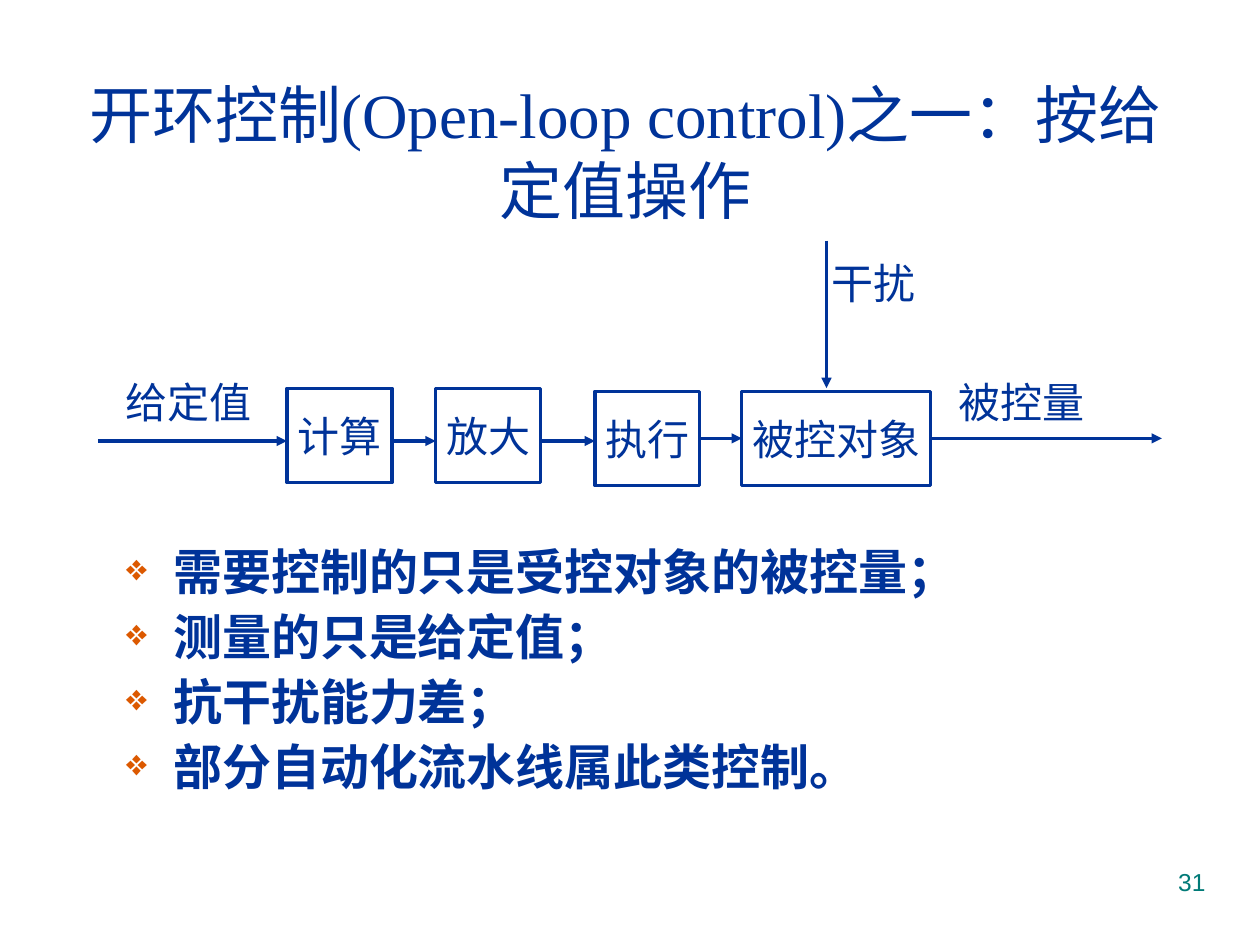
from dataclasses import dataclass

from lxml.etree import SubElement
from pptx import Presentation
from pptx.dml.color import RGBColor
from pptx.enum.shapes import MSO_CONNECTOR, MSO_SHAPE
from pptx.enum.text import MSO_ANCHOR, PP_ALIGN
from pptx.oxml.ns import qn
from pptx.util import Pt


@dataclass(frozen=True)
class Theme:
    ink: str = "003399"
    mark: str = "DC5900"
    page: str = "007A77"
    serif: str = "Times New Roman"
    sans: str = "Arial"
    cjk: str = "Noto Sans CJK SC"
    title: int = 36
    body: int = 28
    label: int = 24
    small: int = 14
    line: float = 1.75


THEME = Theme()


def style(para, size, face, color=THEME.ink, bold=False):
    """Set the Latin font to face and the East Asian one to the theme's."""
    font = para.font
    font.size, font.name, font.bold = Pt(size), face, bold
    font.color.rgb = RGBColor.from_string(color)
    props = para._p.pPr.find(qn("a:defRPr"))
    SubElement(props, qn("a:ea"), typeface=THEME.cjk)


def write(shape, text, size, face, color=THEME.ink, align=PP_ALIGN.CENTER,
          wrap=True, anchor=MSO_ANCHOR.MIDDLE):
    frame = shape.text_frame
    frame.word_wrap = wrap
    frame.vertical_anchor = anchor
    para = frame.paragraphs[0]
    para.text, para.alignment = text, align
    style(para, size, face, color)


def add_text(slide, box, *args, **opts):
    write(slide.shapes.add_textbox(*map(Pt, box)), *args, **opts)


def add_block(slide, box, text):
    block = slide.shapes.add_shape(MSO_SHAPE.RECTANGLE, *map(Pt, box))
    block.shadow.inherit = False
    block.fill.background()
    block.line.color.rgb = RGBColor.from_string(THEME.ink)
    block.line.width = Pt(THEME.line)
    write(block, text, THEME.label, THEME.serif, wrap=False)
    return block


def add_arrow(slide, start, end, source=None, target=None):
    """Draw an arrow, joined to the right of source and the left of target."""
    arrow = slide.shapes.add_connector(
        MSO_CONNECTOR.STRAIGHT, *map(Pt, (*start, *end)))
    if source is not None:
        arrow.begin_connect(source, 3)
    if target is not None:
        arrow.end_connect(target, 1)
    arrow.line.color.rgb = RGBColor.from_string(THEME.ink)
    arrow.line.width = Pt(THEME.line)
    SubElement(arrow.line._get_or_add_ln(), qn("a:tailEnd"), type="triangle")
    SubElement(arrow._element.spPr, qn("a:effectLst"))


def add_loop(slide, box):
    """Draw the chain of blocks from set value to controlled value."""
    left, top, width, _ = box
    blocks = [
        add_block(slide, (left + x, top + y, w, 54), text)
        for text, x, y, w in (
            ("计算", 108, 84.3, 60),
            ("放大", 193, 84.3, 60),
            ("执行", 284, 86, 60),
            ("被控对象", 368, 86, 108),
        )
    ]
    drive, plant = blocks[2:]
    flow, mid = top + 114.5, top + 113
    for x, end in ((0, 108), (168, 193), (253, 284)):
        add_arrow(slide, (left + x, flow), (left + end, flow))
    add_arrow(slide, (left + 344, mid), (left + 368, mid), drive, plant)
    add_arrow(slide, (left + 476, mid), (left + width, mid), plant)
    add_arrow(slide, (left + 416.3, top), (left + 416.3, top + 84.3))
    for text, x, y, w in (
        ("给定值", 1, 77, 102),
        ("干扰", 410, 9, 66),
        ("被控量", 476.5, 77, 102),
    ):
        add_text(slide, (left + x, top + y, w, 30), text,
                 THEME.label, THEME.serif, wrap=False)


def add_points(slide, box, points):
    frame = slide.shapes.add_textbox(*map(Pt, box)).text_frame
    frame.word_wrap = True
    for i, text in enumerate(points):
        para = frame.add_paragraph() if i else frame.paragraphs[0]
        para.text = text
        para.line_spacing = 0.9
        para.space_before = Pt(7 if i else 0)
        props = para._p.get_or_add_pPr()
        props.set("marL", str(Pt(27)))
        props.set("indent", str(Pt(-27)))
        SubElement(SubElement(props, qn("a:buClr")), qn("a:srgbClr"), val=THEME.mark)
        SubElement(props, qn("a:buSzPct"), val="75000")
        SubElement(props, qn("a:buChar"), char="❖")
        style(para, THEME.body, THEME.cjk, bold=True)


def main():
    deck = Presentation()
    deck.slide_width, deck.slide_height = Pt(720), Pt(540)
    slide = deck.slides.add_slide(deck.slide_layouts[6])
    add_text(slide, (43, 49, 629, 75), "开环控制(Open-loop control)之一：按给定值操作",
             THEME.title, THEME.serif)
    add_loop(slide, (56, 137.5, 608, 141))
    add_points(slide, (65, 309.6, 612, 176), (
        "需要控制的只是受控对象的被控量；",
        "测量的只是给定值；",
        "抗干扰能力差；",
        "部分自动化流水线属此类控制。",
    ))
    add_text(slide, (516, 492, 180, 37), "31", THEME.small, THEME.sans,
             THEME.page, PP_ALIGN.RIGHT, anchor=MSO_ANCHOR.TOP)
    deck.save("out.pptx")


if __name__ == "__main__":
    main()
